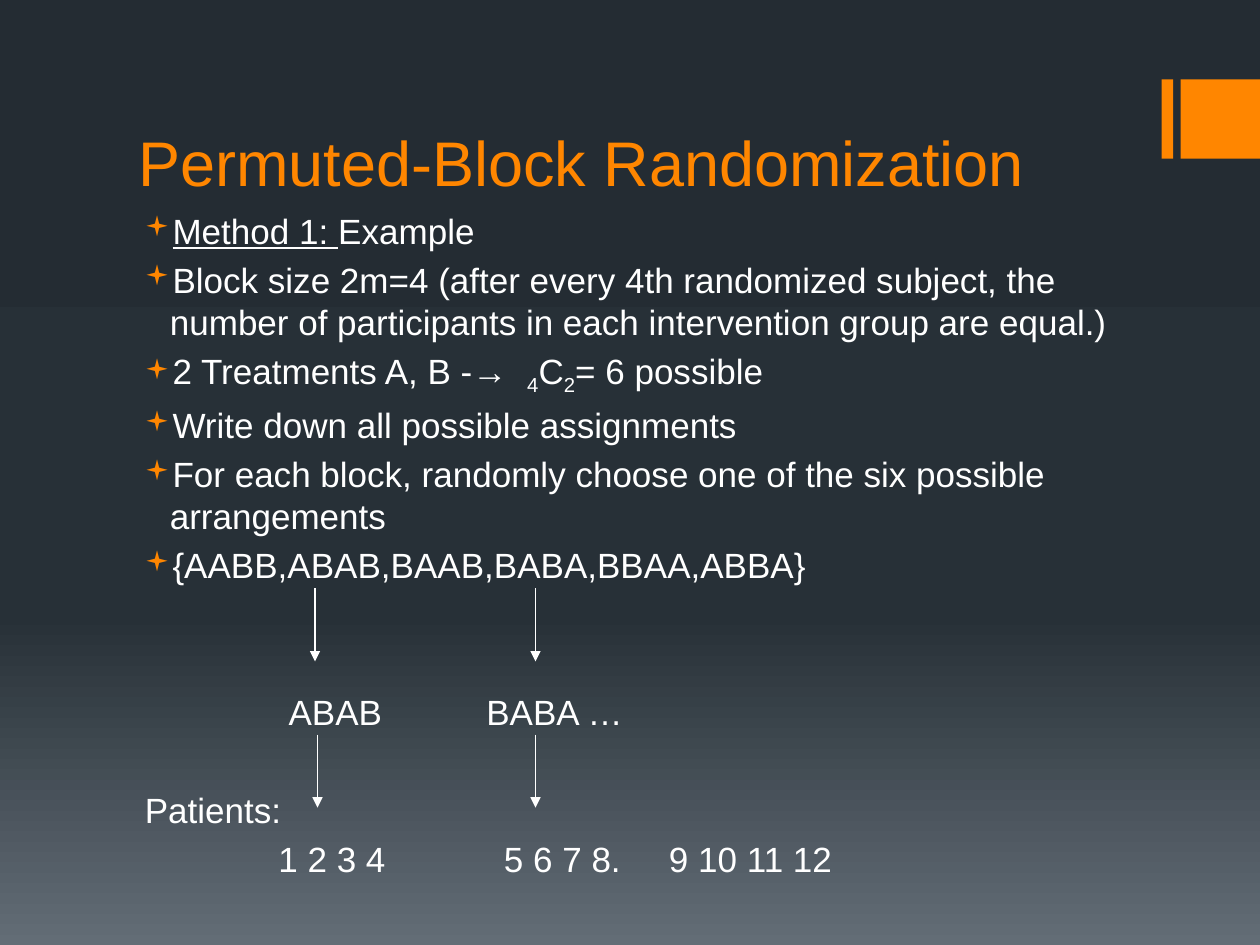
import pptx
import pptx.dml.color
import pptx.enum.shapes
import pptx.enum.text
import pptx.oxml
import pptx.oxml.ns
import pptx.util
from lxml import etree

Inches = pptx.util.Inches
Pt = pptx.util.Pt
RGBColor = pptx.dml.color.RGBColor
qn = pptx.oxml.ns.qn

ORANGE = RGBColor(0xFF, 0x86, 0x00)
WHITE = RGBColor(0xFF, 0xFF, 0xFF)
BACKGROUND_STOPS = (
    (0, RGBColor(0x24, 0x2C, 0x33)),
    (65, RGBColor(0x27, 0x30, 0x37)),
    (100, RGBColor(0x63, 0x6D, 0x76)),
)

TITLE_FORMAT = {"name": "Arial", "size": Pt(36)}
BODY_FORMAT = {"name": "Arial", "size": Pt(20)}
PARAGRAPH_FORMAT = {"line_spacing": 1.0, "space_before": Pt(4)}
LABEL_FORMAT = {"margin_left": 0, "margin_right": 0,
                "margin_top": 0, "margin_bottom": 0}
UNDERLINED = {"underline": True}
SUBSCRIPT = {"baseline": "-25000"}
WIDE_SPACE = {"spc": "556"}

BULLETS = (
    (("Method 1: ", UNDERLINED), ("Example", {})),
    (("Block size 2m=4 (after every 4th randomized subject, the number of "
      "participants in each intervention group are equal.)", {}),),
    (("2 Treatments A, B -→", {}), (" ", WIDE_SPACE), ("4", SUBSCRIPT),
     ("C", {}), ("2", SUBSCRIPT), ("= 6 possible", {})),
    (("Write down all possible assignments", {}),),
    (("For each block, randomly choose one of the six possible "
      "arrangements", {}),),
    (("{AABB,ABAB,BAAB,BABA,BBAA,ABBA}", {}),),
)
# Row top, then the left edge and text of each label, within the body
ASSIGNMENT_ROWS = (
    (3.87, ((1.29, "ABAB"), (2.86, "BABA …"))),
    (4.65, ((0.15, "Patients:"),)),
    (5.04, ((1.21, "1 2 3 4"), (3.0, "5 6 7 8."), (4.31, "9 10 11 12"))),
)


def apply_format(target, values):
    """Set each attribute named in values on target."""
    for name, value in values.items():
        setattr(target, name, value)


def add_child(parent, tag, **attributes):
    """Append a DrawingML element to parent and return it."""
    child = etree.SubElement(parent, qn(tag))
    for name, value in attributes.items():
        child.set(name, str(value))
    return child


def paint_background(slide):
    """Fill the slide with the vertical dark gradient."""
    fill = slide.background.fill
    fill.gradient()
    gradient = slide.element.find(".//" + qn("a:gradFill"))
    for child in list(gradient):
        gradient.remove(child)
    stops = add_child(gradient, "a:gsLst")
    for percent, color in BACKGROUND_STOPS:
        stop = add_child(stops, "a:gs", pos=percent * 1000)
        add_child(stop, "a:srgbClr", val=color)
    add_child(gradient, "a:lin", ang=90 * 60000, scaled=0)


def add_corner_mark(slide, left, top, size):
    """Draw the thin bar and the square that touches the right edge."""
    for offset, width in ((0, 0.09), (0.15, size)):
        shape = slide.shapes.add_shape(
            pptx.enum.shapes.MSO_SHAPE.RECTANGLE, Inches(left + offset),
            Inches(top), Inches(width), Inches(size))
        shape.shadow.inherit = False
        shape.fill.solid()
        shape.fill.fore_color.rgb = ORANGE
        shape.line.fill.background()


def add_text_frame(slide, left, top, width, height):
    """Add a wrapping text box and return its frame."""
    box = slide.shapes.add_textbox(
        Inches(left), Inches(top), Inches(width), Inches(height))
    box.text_frame.word_wrap = True
    return box.text_frame


def add_run(paragraph, text, values, color):
    """Add one run in the given font format and colour."""
    run = paragraph.add_run()
    run.text = text
    apply_format(run.font, values)
    run.font.color.rgb = color
    return run


def add_title(slide, left, top, width, height):
    """Place the title at the bottom of its box."""
    frame = add_text_frame(slide, left, top, width, height)
    frame.vertical_anchor = pptx.enum.text.MSO_ANCHOR.BOTTOM
    add_run(frame.paragraphs[0], "Permuted-Block Randomization",
            TITLE_FORMAT, ORANGE)


def add_bullet(paragraph, parts):
    """Fill a paragraph with an orange bullet and its formatted parts."""
    apply_format(paragraph, PARAGRAPH_FORMAT)
    properties = paragraph._p.get_or_add_pPr()
    properties.set("marL", str(Inches(0.25)))
    properties.set("indent", str(Inches(-0.2)))
    add_child(add_child(properties, "a:buClr"), "a:srgbClr", val=ORANGE)
    add_child(properties, "a:buSzPct", val=80000)
    add_child(properties, "a:buFont", typeface="Wingdings")
    add_child(properties, "a:buChar", char="▪")
    for text, extra in parts:
        run = add_run(paragraph, text, BODY_FORMAT, WHITE)
        if extra is UNDERLINED:
            apply_format(run.font, extra)
        else:
            for name, value in extra.items():
                run._r.get_or_add_rPr().set(name, value)


def add_label(slide, left, top, text):
    """Place one short line of body text without insets."""
    frame = add_text_frame(slide, left, top, 1.5, 0.33)
    apply_format(frame, LABEL_FORMAT)
    add_run(frame.paragraphs[0], text, BODY_FORMAT, WHITE)


def add_body(slide, left, top, width, height):
    """Place the bullets and, below them, the assignment rows."""
    frame = add_text_frame(slide, left, top, width, height)
    for index, parts in enumerate(BULLETS):
        paragraph = frame.add_paragraph() if index else frame.paragraphs[0]
        add_bullet(paragraph, parts)
    for row_top, labels in ASSIGNMENT_ROWS:
        for offset, text in labels:
            add_label(slide, left + offset, top + row_top, text)


def add_down_arrow(slide, left, top, length):
    """Draw a thin white arrow pointing down."""
    arrow = slide.shapes.add_connector(
        pptx.enum.shapes.MSO_CONNECTOR.STRAIGHT, Inches(left), Inches(top),
        Inches(left), Inches(top + length))
    arrow.line.color.rgb = WHITE
    arrow.line.width = Pt(1)
    add_child(arrow.line._get_or_add_ln(), "a:tailEnd", type="triangle")
    add_child(arrow._element.spPr, "a:effectLst")


def build():
    """Build the slide and save it."""
    presentation = pptx.Presentation()
    apply_format(presentation, {"slide_width": Inches(10),
                                "slide_height": Inches(7.5)})
    slide = presentation.slides.add_slide(presentation.slide_layouts[6])
    paint_background(slide)
    add_corner_mark(slide, 9.22, 0.63, 0.63)
    add_title(slide, 1, 0.37, 8, 1.26)
    add_body(slide, 1, 1.61, 8, 3.06)
    for top, columns in ((4.67, (2.5, 4.25)), (5.83, (2.52, 4.25))):
        for left in columns:
            add_down_arrow(slide, left, top, 0.58)
    presentation.save("out.pptx")


build()
